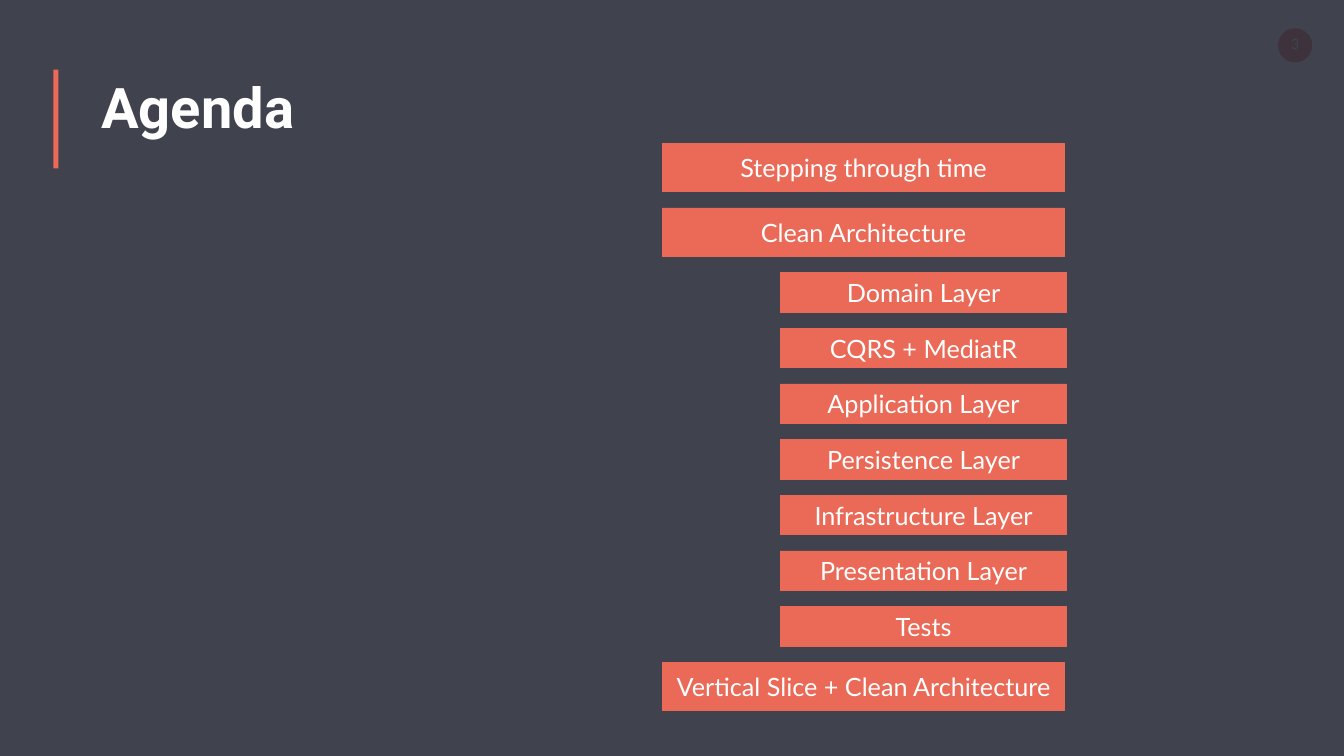
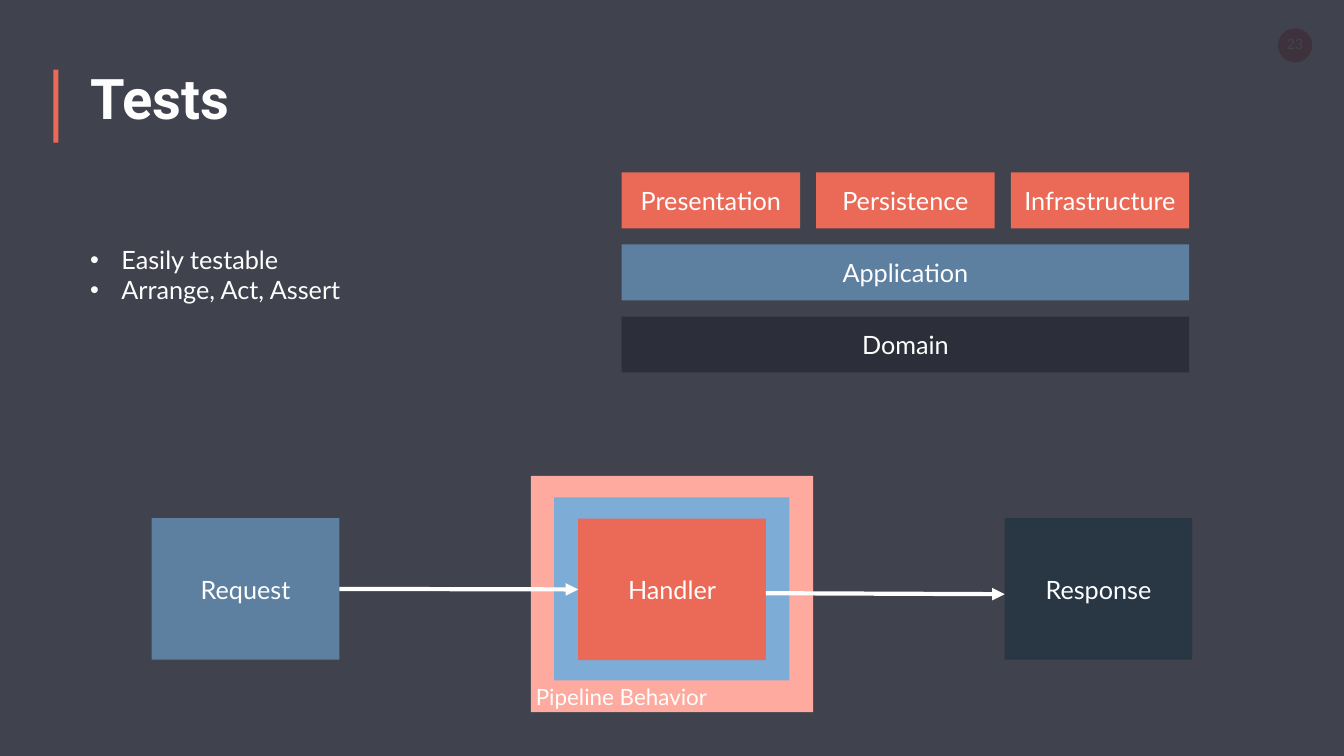
from lxml import etree
from pptx import Presentation
from pptx.dml.color import RGBColor
from pptx.enum.shapes import MSO_CONNECTOR, MSO_SHAPE
from pptx.enum.text import MSO_ANCHOR, MSO_AUTO_SIZE, PP_ALIGN
from pptx.oxml.ns import qn
from pptx.util import Inches, Pt

RECT, OVAL = MSO_SHAPE.RECTANGLE, MSO_SHAPE.OVAL
LEFT, CENTER = PP_ALIGN.LEFT, PP_ALIGN.CENTER
TOP, MIDDLE, BOTTOM = MSO_ANCHOR.TOP, MSO_ANCHOR.MIDDLE, MSO_ANCHOR.BOTTOM
SIDE_LEFT, SIDE_RIGHT = 1, 3

CORAL, PINK = "EA6A57", "FFAA9E"
BLUE, SKY = "5E80A0", "7DACD7"
DARK, NAVY, WHITE = "2C2E3A", "293745", "FEFEFE"
WIDTH, HEIGHT = 26.66, 15


def color(value):
    return RGBColor.from_string(value)


def block(slide, text, left, top, width, height, fill=None, outline=None, kind=RECT,
          size=36, font="Lato", bold=False, align=CENTER, anchor=MIDDLE, bullet=None):
    """Add a filled shape, or a text box that grows when there is no fill."""
    box = [Inches(n) for n in (left, top, width, height)]
    if fill:
        shape = slide.shapes.add_shape(kind, *box)
        shape.shadow.inherit = False
        shape.fill.solid()
        shape.fill.fore_color.rgb = color(fill)
        if outline:
            shape.line.color.rgb = color(outline)
            shape.line.width = Pt(1)
        else:
            shape.line.fill.background()
    else:
        shape = slide.shapes.add_textbox(*box)
        shape.text_frame.auto_size = MSO_AUTO_SIZE.SHAPE_TO_FIT_TEXT
    frame = shape.text_frame
    frame.word_wrap = True
    frame.vertical_anchor = anchor
    if text:
        frame.text = text
        for paragraph in frame.paragraphs:
            paragraph.alignment = align
            run_font = paragraph.runs[0].font
            run_font.name, run_font.size, run_font.bold = font, Pt(size), bold
            run_font.color.rgb = color(WHITE)
            if bullet:
                props = paragraph._p.get_or_add_pPr()
                props.set("marL", str(Inches(0.62)))
                props.set("indent", str(-Inches(0.62)))
                etree.SubElement(props, qn("a:buFont")).set("typeface", "Arial")
                etree.SubElement(props, qn("a:buChar")).set("char", bullet)
    return shape


prs = Presentation()
prs.slide_width, prs.slide_height = Inches(WIDTH), Inches(HEIGHT)

# Shared frame: page number beneath a dark veil, title and accent bar
slides = []
for title, page, title_left, title_top, title_width, bar_height in [
    ("Agenda", "3", 1.91, 1.38, 15.64, 1.96),
    ("Tests", "23", 1.69, 1.21, 16.27, 1.45),
]:
    slide = prs.slides.add_slide(prs.slide_layouts[6])
    slide.background.fill.solid()
    slide.background.fill.fore_color.rgb = color(WHITE)
    block(slide, None, 25.35, 0.56, 0.68, 0.68, CORAL, kind=OVAL)
    block(slide, page, 25.19, 0.62, 1, 0.5, size=20, anchor=MIDDLE)
    veil = block(slide, None, 0, 0, WIDTH, HEIGHT, DARK)
    veil_color = veil.fill._xPr.find(qn("a:solidFill"))[0]
    etree.SubElement(veil_color, qn("a:alpha")).set("val", "90000")
    block(slide, title, title_left, title_top, title_width, 1.45,
          size=80, font="Roboto", bold=True, align=LEFT, anchor=TOP)
    block(slide, None, 1.06, 1.38, 0.1, bar_height, CORAL)
    slides.append(slide)
agenda, tests = slides

# Agenda: topics in one column, the layers of the architecture indented
TOPIC, LAYER = (13.14, 7.98, 0.96), (15.48, 5.68, 0.78)
topics = [
    ("Stepping through time", TOPIC),
    ("Clean Architecture", TOPIC),
    ("Domain Layer", LAYER),
    ("CQRS + MediatR", LAYER),
    ("Application Layer", LAYER),
    ("Persistence Layer", LAYER),
    ("Infrastructure Layer", LAYER),
    ("Presentation Layer", LAYER),
    ("Tests", LAYER),
    ("Vertical Slice + Clean Architecture", TOPIC),
]
top, bottom = 2.84, 14.1
gap = (bottom - top - sum(form[2] for _, form in topics)) / (len(topics) - 1)
for topic, (left, width, height) in topics:
    block(agenda, topic, left, top, width, height, CORAL, outline=CORAL)
    top += height + gap

# Tests: layer stack
stack_left, stack_top, layer_height = 12.33, 3.42, 1.11
for column, layer in enumerate(["Presentation", "Persistence", "Infrastructure"]):
    block(tests, layer, stack_left + column * 3.86, stack_top, 3.54, layer_height, CORAL)
for row, (layer, fill) in enumerate([("Application", BLUE), ("Domain", DARK)], start=1):
    block(tests, layer, stack_left, stack_top + row * 1.43, 11.26, layer_height, fill)

block(tests, "Easily testable\nArrange, Act, Assert", 1.69, 4.8, 8.5, 1.31,
      align=LEFT, anchor=TOP, bullet="•")

# Tests: request pipeline
step_width, step_height = 3.72, 2.81
request = block(tests, "Request", 3.01, 10.28, step_width, step_height, BLUE)
block(tests, "Response", 19.93, 10.28, step_width, step_height, NAVY)
block(tests, "Pipeline Behavior", 10.53, 9.44, 5.6, 4.69, PINK,
      size=32, align=LEFT, anchor=BOTTOM)
block(tests, None, 10.99, 9.87, 4.67, 3.63, SKY)
handler = block(tests, "Handler", 11.47, 10.29, step_width, step_height, CORAL)

arrows = []
for ends in [(6.73, 11.69, 11.47, 11.7), (15.19, 11.77, 19.93, 11.79)]:
    arrow = tests.shapes.add_connector(MSO_CONNECTOR.STRAIGHT, *[Inches(n) for n in ends])
    arrow.line.color.rgb = color(WHITE)
    arrow.line.width = Pt(6)
    etree.SubElement(arrow.line._get_or_add_ln(), qn("a:tailEnd")).set("type", "triangle")
    etree.SubElement(arrow._element.spPr, qn("a:effectLst"))
    arrows.append(arrow)
arrows[0].begin_connect(request, SIDE_RIGHT)
arrows[0].end_connect(handler, SIDE_LEFT)

prs.save("out.pptx")
